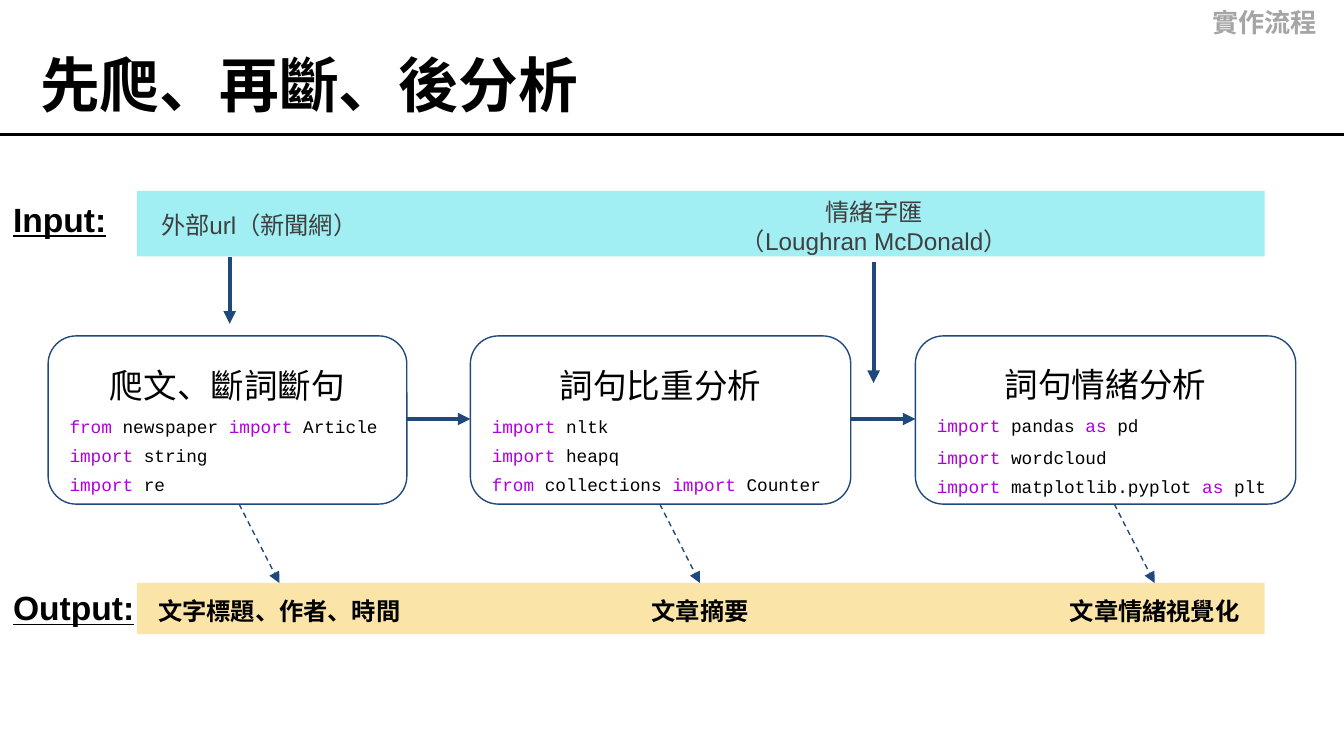
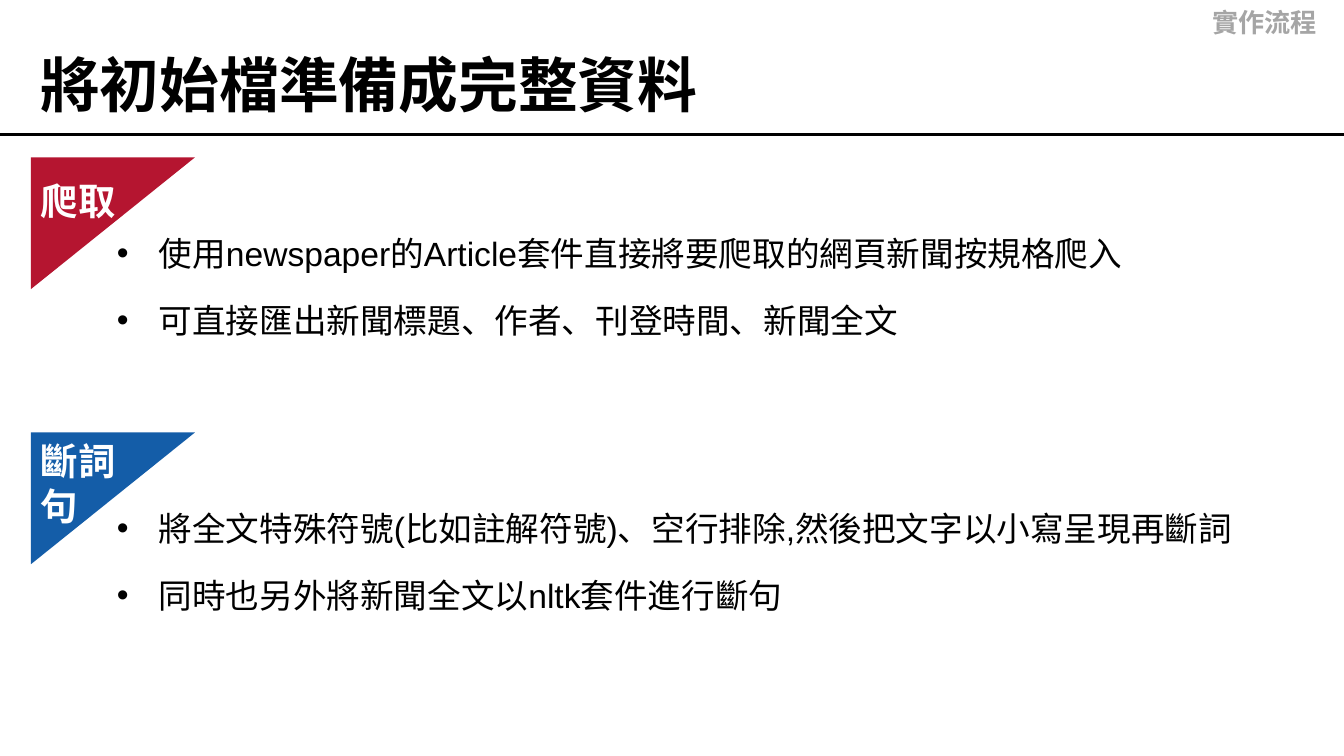
from dataclasses import dataclass
from itertools import groupby

from lxml.etree import SubElement
from pptx import Presentation
from pptx.dml.color import RGBColor
from pptx.enum.dml import MSO_LINE
from pptx.enum.shapes import MSO_CONNECTOR, MSO_SHAPE
from pptx.enum.text import MSO_ANCHOR as ANCHOR, MSO_AUTO_SIZE, PP_ALIGN as ALIGN
from pptx.oxml.ns import qn
from pptx.util import Cm, Pt


@dataclass(frozen=True)
class Theme:
    font: str = "Arial"
    code_font: str = "Courier New"
    black: str = "000000"
    white: str = "FFFFFF"
    gray: str = "A5A5A5"
    dark: str = "3F3F3F"
    navy: str = "1F497D"
    cyan: str = "A1EFF3"
    sand: str = "FBE4A8"
    red: str = "B51530"
    blue: str = "145DA8"
    keyword: str = "AF00DB"
    title: float = 32
    tag: float = 20
    body: float = 18
    header: float = 14
    small: float = 13
    code: float = 9.5


T = Theme()
HEADER = "實作流程"
KEYWORDS = {"from", "import", "as"}

# All positions are in centimetres.
FLOW_TITLE = "先爬、再斷、後分析"
BANDS = [  # label, label top, band top, band height, colour
    ("Input:", 3.63, 3.61, 1.24, T.cyan),
    ("Output:", 10.97, 11.02, 0.97, T.sand),
]
INPUTS = [  # text, text box, arrow x, arrow top, arrow bottom
    ("外部url（新聞網）", (2.21, 3.73, 5.38, 0.86), 4.34, 4.85, 6.12),
    ("情緒字匯\n（Loughran McDonald）", (13.61, 3.48, 5.82, 1.35), 16.51, 4.95, 7.24),
]
STEPS = [  # heading, left, width, code with line spacing, output, output left
    ("爬文、斷詞斷句", 0.91, 6.78,
     [("from newspaper import Article", 1.5), ("import string", 1.36),
      ("import re", 1.36)],
     "文字標題、作者、時間", 2.59),
    ("詞句比重分析", 8.89, 7.19,
     [("import nltk", 1.5), ("import heapq", 1.36),
      ("from collections import Counter", 1.36)],
     "文章摘要", 10.54),
    ("詞句情緒分析", 17.3, 7.19,
     [("import pandas as pd", 1.5), ("import wordcloud", 1.5),
      ("import matplotlib.pyplot as plt", 1.36)],
     "文章情緒視覺化", 19.13),
]
STEP_TOP, STEP_H, LINK_Y = 6.35, 3.18, 7.92

PREP_TITLE = "將初始檔準備成完整資料"
SECTIONS = [  # triangle top, colour, tag lines, tag top, tag spacing, bullets
    (2.67, T.red, ["爬取"], 2.69, 1.5,
     ["使用newspaper的Article套件直接將要爬取的網頁新聞按規格爬入",
      "可直接匯出新聞標題、作者、刊登時間、新聞全文"]),
    (7.87, T.blue, ["斷詞", "句"], 8.03, 1,
     ["將全文特殊符號(比如註解符號)、空行排除,然後把文字以小寫呈現再斷詞",
      "同時也另外將新聞全文以nltk套件進行斷句"]),
]


def rgb(color):
    return RGBColor.from_string(color)


def place(shape, box):
    shape.left, shape.top, shape.width, shape.height = map(Cm, box)


def frame(shape, inset_y=0.25, anchor=ANCHOR.TOP, inset_right=0.25):
    tf = shape.text_frame
    tf.word_wrap, tf.auto_size = True, MSO_AUTO_SIZE.NONE
    tf.vertical_anchor = anchor
    tf.margin_left, tf.margin_right = Cm(0.25), Cm(inset_right)
    tf.margin_top = tf.margin_bottom = Cm(inset_y)
    return tf


def paragraph(tf, index, align=ALIGN.LEFT, spacing=1.0):
    p = tf.paragraphs[0] if index == 0 else tf.add_paragraph()
    p.alignment, p.line_spacing = align, spacing
    p.space_before = p.space_after = Pt(0)
    return p


def run(p, text, size, color=T.black, bold=False, font=T.font, underline=False):
    for i, part in enumerate(text.split("\n")):
        if i:
            p.add_line_break()
        r = p.add_run()
        r.text = part
        f = r.font
        f.name, f.size, f.bold, f.underline = font, Pt(size), bold, underline
        f.color.rgb = rgb(color)


def label(s, text, box, size, align=ALIGN.LEFT, inset_y=0.25, inset_right=0.25, **style):
    tf = frame(s.shapes.add_textbox(*map(Cm, box)), inset_y, inset_right=inset_right)
    run(paragraph(tf, 0, align), text, size, **style)


def block(s, kind, box, fill, line=None):
    sp = s.shapes.add_shape(kind, *map(Cm, box))
    sp.shadow.inherit = False
    sp.fill.solid()
    sp.fill.fore_color.rgb = rgb(fill)
    if line:
        sp.line.color.rgb = rgb(line)
        sp.line.width = Pt(0.75)
    else:
        sp.line.fill.background()
    return sp


def connect(s, x1, y1, x2, y2, width=2.25, color=T.navy, dashed=False, arrow=True):
    c = s.shapes.add_connector(MSO_CONNECTOR.STRAIGHT, *map(Cm, (x1, y1, x2, y2)))
    c.line.color.rgb = rgb(color)
    c.line.width = Pt(width)
    if dashed:
        c.line.dash_style = MSO_LINE.DASH
    if arrow:
        SubElement(c.line._get_or_add_ln(), qn("a:tailEnd"), type="triangle")
    SubElement(c._element.spPr, qn("a:effectLst"))


def add_slide(prs, layout, title):
    """Add a slide with the shared title, rule and corner header."""
    s = prs.slides.add_slide(prs.slide_layouts[layout])
    place(s.shapes.title, (0.51, 0.36, 23.6, 2.46))
    tf = frame(s.shapes.title, 0.13, ANCHOR.MIDDLE)
    run(paragraph(tf, 0), title, T.title, bold=True)
    connect(s, 0, 2.54, 25.4, 2.54, 1.5, T.black, arrow=False)
    label(s, HEADER, (20.52, 0, 4.9, 0.86), T.header, ALIGN.RIGHT, 0.13, 0.53,
          color=T.gray, bold=True)
    return s


def code_line(p, line):
    for is_keyword, words in groupby(line.split(), lambda word: word in KEYWORDS):
        text = (" " if p.runs else "") + " ".join(words)
        run(p, text, T.code, T.keyword if is_keyword else T.black, font=T.code_font)


def step_box(s, heading, left, width, code):
    sp = block(s, MSO_SHAPE.ROUNDED_RECTANGLE, (left, STEP_TOP, width, STEP_H),
               T.white, T.navy)
    tf = frame(sp, anchor=ANCHOR.MIDDLE)
    run(paragraph(tf, 0, ALIGN.CENTER, 1.5), heading, T.body)
    for i, (line, spacing) in enumerate(code, 1):
        code_line(paragraph(tf, i, spacing=spacing), line)


def flow_slide(prs):
    s = add_slide(prs, 5, FLOW_TITLE)
    for text, label_top, top, height, color in BANDS:
        block(s, MSO_SHAPE.RECTANGLE, (2.59, top, 21.31, height), color)
        label(s, text, (0, label_top, 3, 1.02), T.body, inset_y=0.13,
              bold=True, underline=True)
    for text, box, x, top, bottom in INPUTS:
        label(s, text, box, T.small, ALIGN.CENTER, color=T.dark)
        connect(s, x, top, x, bottom)
    output_top = BANDS[1][2]
    for heading, left, width, code, output, out_left in STEPS:
        step_box(s, heading, left, width, code)
        label(s, output, (out_left, output_top, 5.38, 1.22), T.small,
              ALIGN.CENTER, bold=True)
        x = out_left + 1.93
        connect(s, x, STEP_TOP + STEP_H, x + 0.76, output_top, 0.75, dashed=True)
    for (_, left, width, *_), (_, next_left, *_) in zip(STEPS, STEPS[1:]):
        connect(s, left + width, LINK_Y, next_left, LINK_Y)


def bullet(p):
    pPr = p._p.get_or_add_pPr()
    pPr.set("marL", str(Cm(0.79)))
    pPr.set("indent", str(-Cm(0.79)))
    SubElement(SubElement(pPr, qn("a:buClr")), qn("a:srgbClr"), val=T.black)
    SubElement(pPr, qn("a:buFont"), typeface=T.font)
    SubElement(pPr, qn("a:buChar"), char="•")


def prep_slide(prs):
    s = add_slide(prs, 3, PREP_TITLE)
    for idx, (top, color, tag, tag_top, spacing, bullets) in enumerate(SECTIONS, 1):
        block(s, MSO_SHAPE.RIGHT_TRIANGLE, (0.89, top, 2.49, 3.1), color).rotation = 90
        tf = frame(s.shapes.add_textbox(*map(Cm, (0.52, tag_top, 2.74, 1.42 * len(tag)))))
        for i, text in enumerate(tag):
            run(paragraph(tf, i, ALIGN.JUSTIFY, spacing), text, T.tag, T.white, bold=True)
        body = s.placeholders[idx]
        place(body, (1.96, top + 1.1, 23.37, 3.45))
        tf = frame(body)
        for i, text in enumerate(bullets):
            p = paragraph(tf, i, ALIGN.JUSTIFY, 1.5)
            p.space_before = Pt(3.6)
            bullet(p)
            run(p, text, T.body)


def main():
    prs = Presentation()
    prs.slide_width, prs.slide_height = Cm(25.4), Cm(14.29)
    flow_slide(prs)
    prep_slide(prs)
    for s in prs.slides:
        for ph in list(s.placeholders):
            if not ph.text_frame.text:
                ph._element.getparent().remove(ph._element)
    prs.save("out.pptx")


if __name__ == "__main__":
    main()
